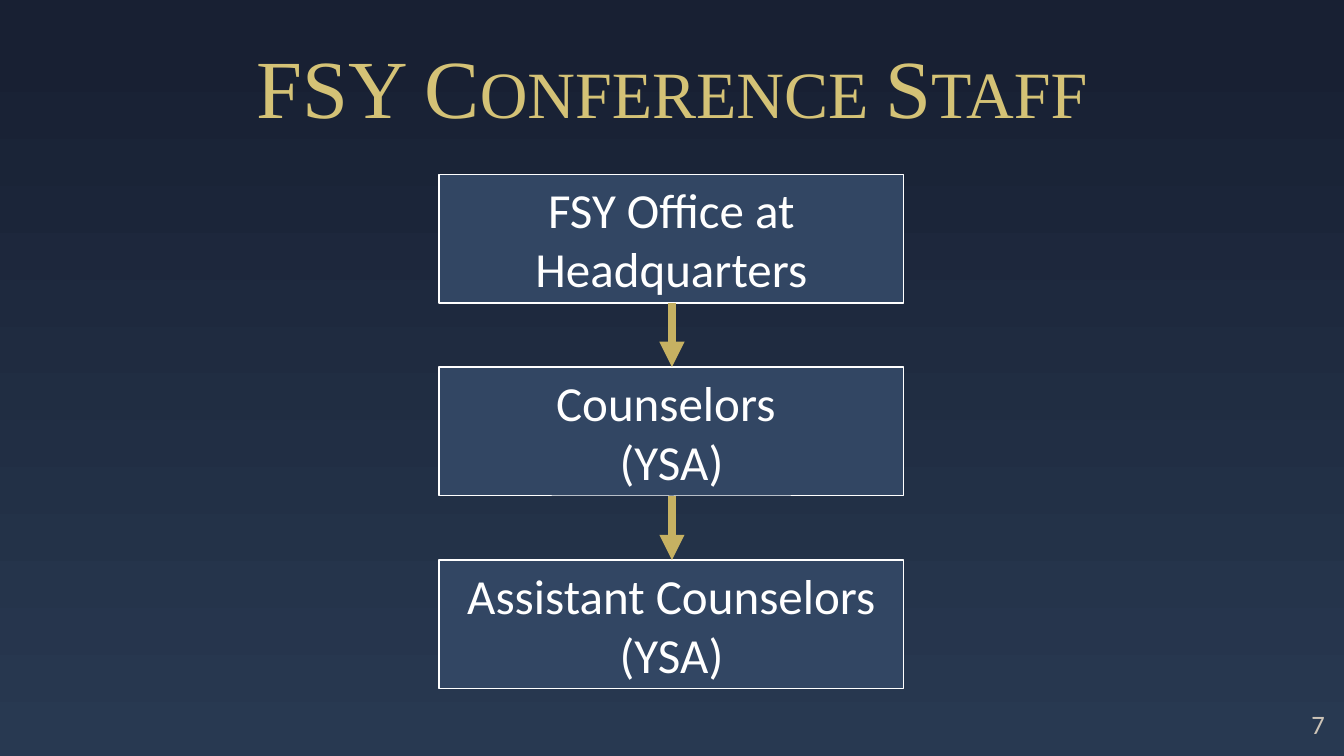
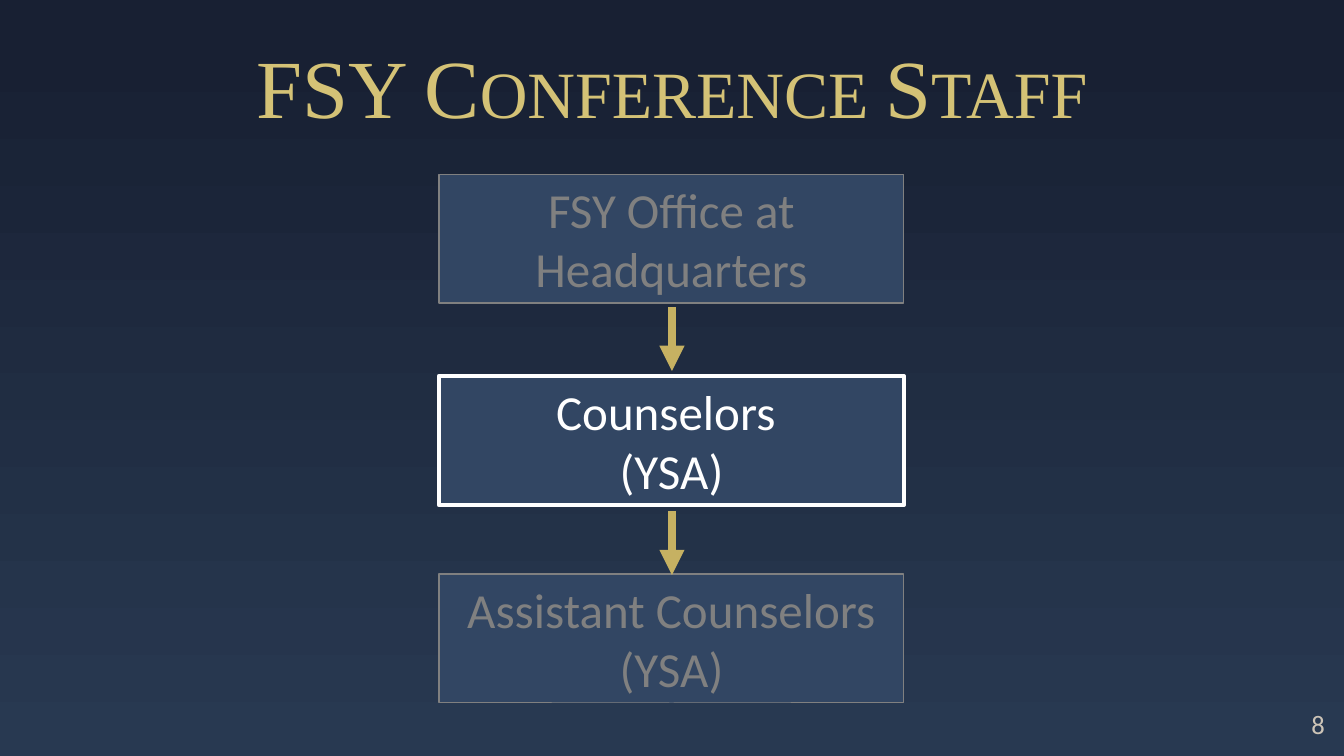
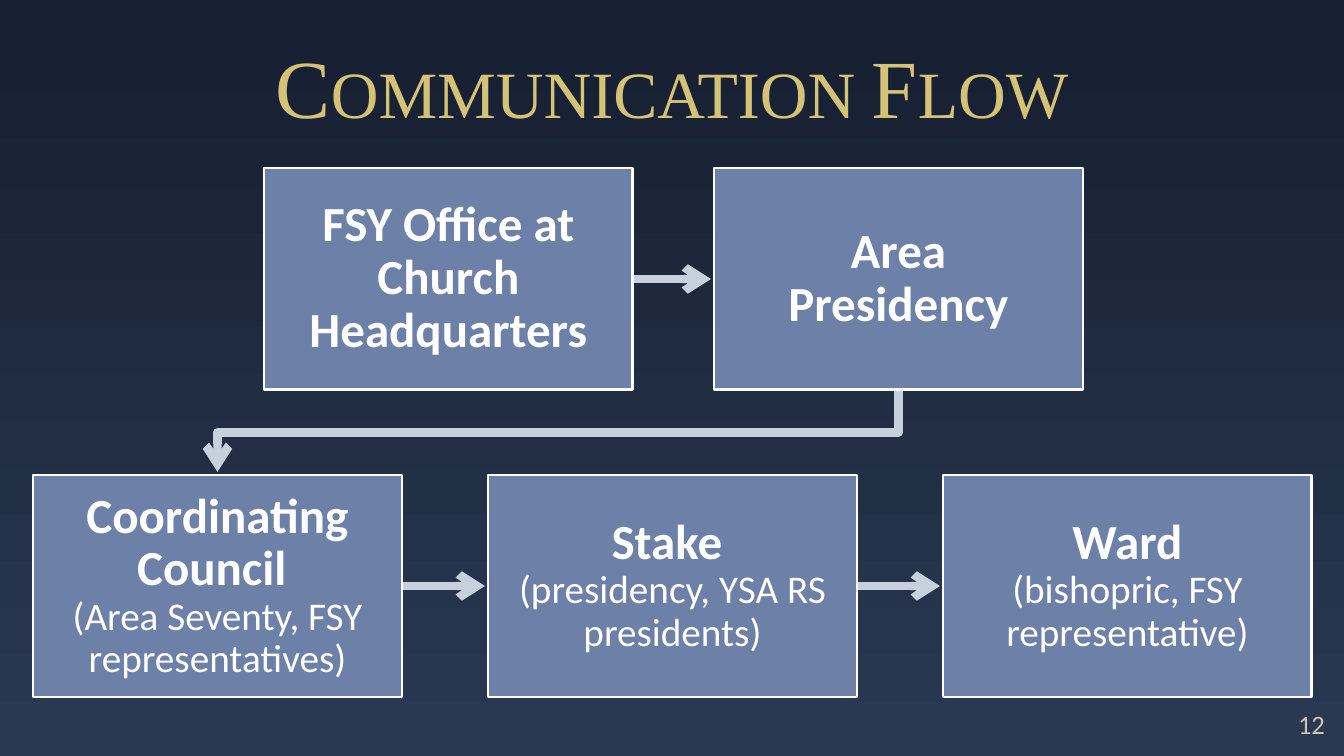
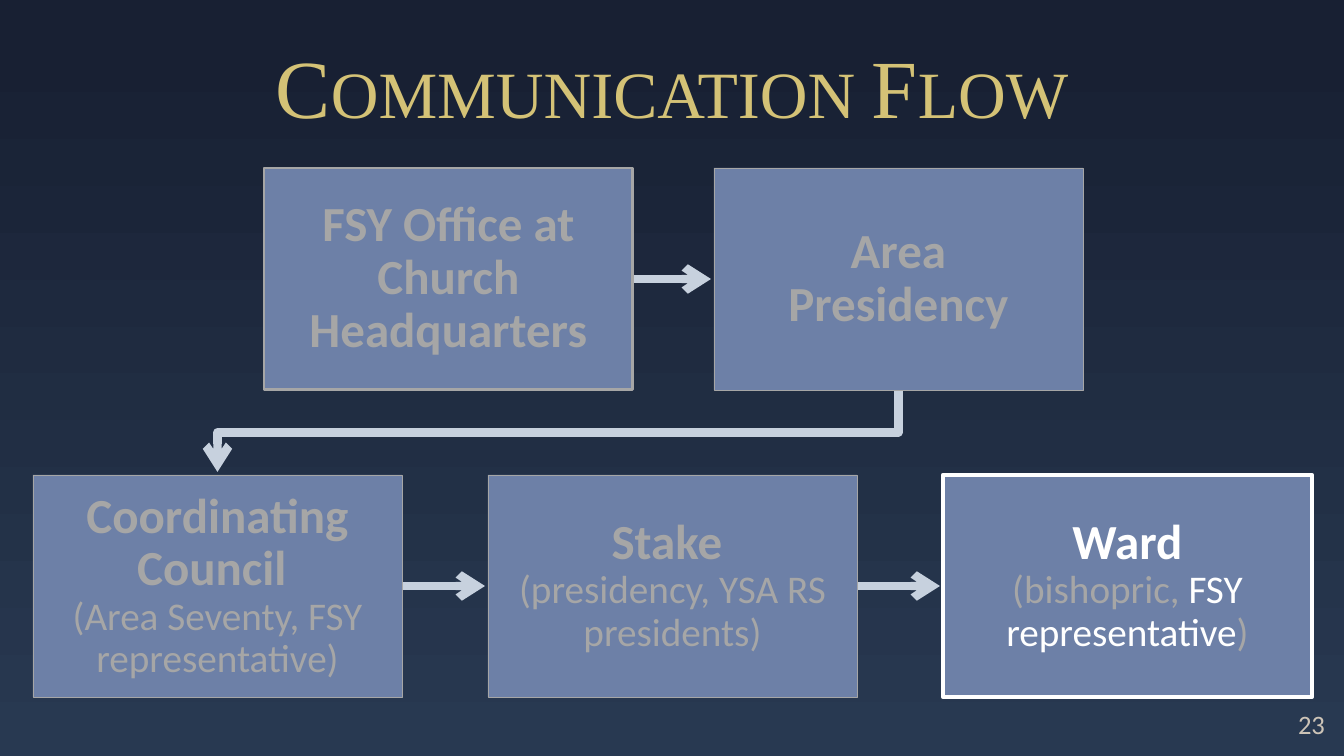
from pptx import Presentation, util as u
from pptx.dml.color import RGBColor
from pptx.enum import shapes, text
from pptx.oxml import parse_xml
from pptx.oxml.ns import nsdecls

# Content: tones name a colour and border widths are points
STAFF = [["FSY Office at Headquarters"],
         ["Counselors ", "(YSA)"],
         ["Assistant Counselors (YSA)"]]
STAFF_SLIDES = [
    {"page": "7", "tops": (174, 367, 560), "arrow_tops": (303, 496),
     "borders": [("white", 0.75)] * 3},
    {"page": "8", "tops": (174, 376, 574), "arrow_tops": (307, 511),
     "borders": [("staff_dim", 0.75), ("white", 3), ("staff_dim", 0.75)]},
]

# Each step: heading, detail runs with their tones
FLOW = [("FSY Office at Church Headquarters", []),
        ("Area Presidency", []),
        ("Coordinating Council ", ["(Area Seventy, FSY representatives)"]),
        ("Stake ", ["(presidency, YSA RS presidents)"]),
        ("Ward", ["(bishopric, ", "FSY representative", ")"])]
FLOW_SLIDES = [
    {"page": "12", "borders": [("white", 2)] * 5,
     "detail_tones": ["white"] * 3, "details": {}},
    {"page": "23",
     "borders": [("flow_dim", 2)] + [("flow_dim", 0.25)] * 3 + [("white", 3)],
     "detail_tones": ["flow_dim", "white", "flow_dim"],
     "details": {2: ["(Area Seventy, FSY representative)"]}},
]

# Theme
THEME = {
    "background": [(0.06, "182033"), (0.99, "283951")],
    "colour": {"white": "FFFFFF", "title": "D4C276", "page": "CDC4B7",
               "staff_fill": "324663", "staff_dim": "808080", "staff_arrow": "C6B162",
               "flow_fill": "6D80A7", "flow_dim": "A6A6A6", "flow_arrow": "C7D1DE"},
    "title": {"name": "Times New Roman", "size": u.Pt(59), "bold": False},
    "box": {"name": "Calibri", "size": u.Pt(35), "bold": False},
    "heading": {"name": "Calibri", "size": u.Pt(35), "bold": True},
    "detail": {"name": "Calibri", "size": u.Pt(28), "bold": False},
    "page": {"name": "Calibri", "size": u.Pt(19), "bold": False},
    "arrow_width": u.Pt(6),
}

# Geometry in px
SLIDE_WIDTH, SLIDE_HEIGHT = 1344, 756
SCALE = u.Emu(12192000) / SLIDE_WIDTH
TITLE_AREA = (78, 55, 1188, 60)
PAGE_AREA = (1255, 703, 80, 42)
STAFF_LEFT, STAFF_WIDTH, STAFF_HEIGHT, STAFF_ARROW = 439, 465, 129, 64
FLOW_WIDTH, FLOW_HEIGHT, FLOW_INSET, TIP_GAP = 369, 222, 27, 3
# Rows: number of steps, left, top, pitch
FLOW_ROWS = [(2, 264, 168, 450), (3, 33, 475, 455)]


def emu(*lengths):
    return [u.Emu(round(length * SCALE)) for length in lengths]


def colour(tone):
    return RGBColor.from_string(THEME["colour"][tone])


def set_format(target, values):
    for name, value in values.items():
        setattr(target, name, value)


def write(shape, paragraphs, inset=(10, 5), anchor=text.MSO_ANCHOR.MIDDLE,
          align=text.PP_ALIGN.CENTER, spacing=1.0):
    """Fill a shape with paragraphs, each a list of (text, style, tone) runs."""
    across, down = emu(*inset)
    frame = shape.text_frame
    set_format(frame, {"word_wrap": True, "auto_size": text.MSO_AUTO_SIZE.NONE,
                       "vertical_anchor": anchor,
                       "margin_left": across, "margin_right": across,
                       "margin_top": down, "margin_bottom": down})
    for index, runs in enumerate(paragraphs):
        paragraph = frame.add_paragraph() if index else frame.paragraphs[0]
        set_format(paragraph, {"alignment": align, "line_spacing": spacing})
        for words, style, tone in runs:
            run = paragraph.add_run()
            run.text = words
            set_format(run.font, THEME[style])
            run.font.color.rgb = colour(tone)


def add_box(slide, area, fill, border):
    box = slide.shapes.add_shape(shapes.MSO_SHAPE.RECTANGLE, *emu(*area))
    box.shadow.inherit = False
    box.fill.solid()
    box.fill.fore_color.rgb = colour(fill)
    tone, width = border
    box.line.color.rgb = colour(tone)
    box.line.width = u.Pt(width)
    return box


def add_arrow(slide, points, tone, head):
    """Draw a straight connector, or an open path when there are bends."""
    points = [emu(*point) for point in points]
    if len(points) == 2:
        arrow = slide.shapes.add_connector(
            shapes.MSO_CONNECTOR.STRAIGHT, *points[0], *points[1])
        arrow._element.spPr.append(parse_xml(f"<a:effectLst {nsdecls('a')}/>"))
    else:
        builder = slide.shapes.build_freeform(*points[0])
        builder.add_line_segments(points[1:], close=False)
        arrow = builder.convert_to_shape()
        arrow.shadow.inherit = False
        arrow.fill.background()
    arrow.line.color.rgb = colour(tone)
    arrow.line.width = THEME["arrow_width"]
    line = arrow.line._get_or_add_ln()
    line.append(parse_xml(f"<a:round {nsdecls('a')}/>"))
    line.append(parse_xml(f'<a:tailEnd {nsdecls("a")} type="{head}"/>'))


def add_slide(presentation, title_words, page):
    slide = presentation.slides.add_slide(presentation.slide_layouts[5])
    title = slide.shapes.title
    title.left, title.top, title.width, title.height = emu(*TITLE_AREA)
    write(title, [[(title_words, "title", "title")]])
    title.text_frame.paragraphs[0].runs[0]._r.get_or_add_rPr().set("cap", "small")
    number = slide.shapes.add_textbox(*emu(*PAGE_AREA))
    write(number, [[(page, "page", "page")]],
          anchor=text.MSO_ANCHOR.BOTTOM, align=text.PP_ALIGN.RIGHT)
    return slide


def add_staff_slide(presentation, content):
    slide = add_slide(presentation, "FSY Conference Staff", content["page"])
    for lines, top, border in zip(STAFF, content["tops"], content["borders"]):
        box = add_box(slide, (STAFF_LEFT, top, STAFF_WIDTH, STAFF_HEIGHT),
                      "staff_fill", border)
        write(box, [[(line, "box", border[0])] for line in lines])
    middle = SLIDE_WIDTH / 2
    for top in content["arrow_tops"]:
        add_arrow(slide, [(middle, top), (middle, top + STAFF_ARROW)],
                  "staff_arrow", "triangle")


def add_flow_slide(presentation, content):
    slide = add_slide(presentation, "Communication Flow", content["page"])
    places = [(left + column * pitch, top)
              for count, left, top, pitch in FLOW_ROWS for column in range(count)]

    # Arrows: straight within a row, bent between rows
    for (left, top), (next_left, next_top) in zip(places, places[1:]):
        if top == next_top:
            middle = top + FLOW_HEIGHT / 2
            points = [(left + FLOW_WIDTH, middle), (next_left - TIP_GAP, middle)]
        else:
            start, end = left + FLOW_WIDTH / 2, next_left + FLOW_WIDTH / 2
            bottom = top + FLOW_HEIGHT
            bend = (bottom + next_top) / 2
            points = [(start, bottom), (start, bend), (end, bend),
                      (end, next_top - TIP_GAP)]
        add_arrow(slide, points, "flow_arrow", "arrow")

    # Steps
    for index, ((heading, details), place, border) in enumerate(
            zip(FLOW, places, content["borders"])):
        box = add_box(slide, (*place, FLOW_WIDTH, FLOW_HEIGHT), "flow_fill", border)
        paragraphs = [[(heading, "heading", border[0])]]
        details = content["details"].get(index, details)
        if details:
            paragraphs.append([(words, "detail", tone) for words, tone
                               in zip(details, content["detail_tones"])])
        write(box, paragraphs, inset=(FLOW_INSET, FLOW_INSET), spacing=0.9)


def main():
    presentation = Presentation()
    presentation.slide_width, presentation.slide_height = emu(SLIDE_WIDTH, SLIDE_HEIGHT)

    # Shared background
    fill = presentation.slide_master.background.fill
    fill.gradient()
    fill.gradient_angle = 270
    for stop, (position, value) in zip(fill.gradient_stops, THEME["background"]):
        stop.position = position
        stop.color.rgb = RGBColor.from_string(value)

    for content in STAFF_SLIDES:
        add_staff_slide(presentation, content)
    for content in FLOW_SLIDES:
        add_flow_slide(presentation, content)
    presentation.save("out.pptx")


if __name__ == "__main__":
    main()
